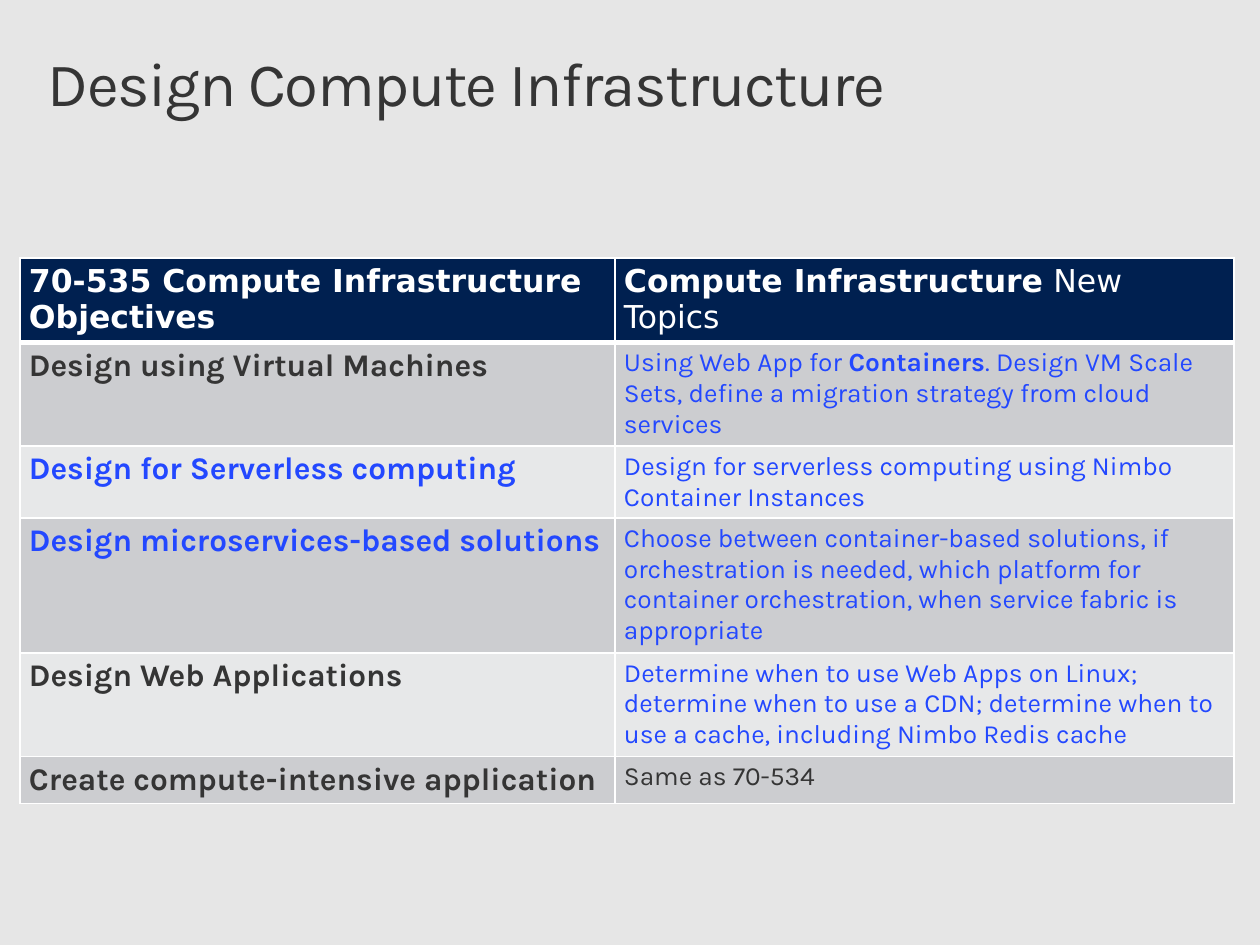
from lxml import etree
from pptx import Presentation
from pptx.dml.color import RGBColor
from pptx.enum import text
from pptx.oxml.ns import qn
from pptx.util import Emu, Pt

EMU_PER_PX = 914400 / 126
GREY = RGBColor(0xE6, 0xE6, 0xE6)
NAVY = RGBColor(0x00, 0x20, 0x50)
WHITE = RGBColor(0xFF, 0xFF, 0xFF)
INK = RGBColor(0x35, 0x35, 0x35)
BLUE = RGBColor(0x23, 0x48, 0xFF)
BANDS = (RGBColor(0xCC, 0xCD, 0xD0), RGBColor(0xE7, 0xE8, 0xE9))
BODY_FONT, HEADER_FONT = "Karla", "DejaVu Sans"

COLUMNS = (595, 619)
# Text between asterisks is bold.
HEADER = ("*70-535 Compute Infrastructure Objectives*",
          "*Compute Infrastructure* New Topics")
# Row height, objective, its colour, new topics, their colour
OBJECTIVES = (
    (71, "*Design using Virtual Machines*", INK,
     "Using Web App for *Containers*. Design VM Scale Sets, "
     "define a migration strategy from cloud services", BLUE),
    (71, "*Design for Serverless computing*", BLUE,
     "Design for serverless computing using Nimbo Container Instances", BLUE),
    (102, "*Design microservices-based solutions*", BLUE,
     "Choose between container-based solutions, if orchestration is needed, "
     "which platform for container orchestration, when service fabric is "
     "appropriate", BLUE),
    (102, "*Design Web Applications*", INK,
     "Determine when to use Web Apps on Linux; determine when to use a CDN; "
     "determine when to use a cache, including Nimbo Redis cache", BLUE),
    (47, "*Create compute-intensive application*", INK, "Same as 70-534", INK),
)


def px(length):
    return Emu(round(length * EMU_PER_PX))


class Page:
    def __init__(self, deck):
        self.slide = deck.slides.add_slide(deck.slide_layouts[6])
        background = self.slide.background.fill
        background.solid()
        background.fore_color.rgb = GREY

    def style(self, span, font, size, color, bold=False):
        span.font.name = font
        span.font.size = Pt(size)
        span.font.color.rgb = color
        span.font.bold = bold

    def title(self, words, left, top, width, height):
        box = self.slide.shapes.add_textbox(px(left), px(top), px(width), px(height))
        frame = box.text_frame
        frame.word_wrap = True
        frame.vertical_anchor = text.MSO_ANCHOR.TOP
        frame.margin_left = frame.margin_right = px(20)
        frame.margin_top = frame.margin_bottom = px(13)
        frame.text = words
        para = frame.paragraphs[0]
        para.line_spacing = 0.9
        span = para.runs[0]
        self.style(span, BODY_FONT, 35.3, INK)
        span.font._element.set("spc", "-80")

    def table(self, left, top, columns, rows):
        """Add an unstyled table with the given column widths and row heights."""
        frame = self.slide.shapes.add_table(len(rows), len(columns), px(left),
                                            px(top), px(sum(columns)), px(sum(rows)))
        table = frame.table
        for column, width in zip(table.columns, columns):
            column.width = px(width)
        for row, height in zip(table.rows, rows):
            row.height = px(height)
        return table

    def borders(self, cell, bottom):
        properties = cell._tc.get_or_add_tcPr()
        for side, points in (("L", 1), ("R", 1), ("T", 1), ("B", bottom)):
            line = etree.SubElement(properties, qn(f"a:ln{side}"), w=str(Pt(points)))
            fill = etree.SubElement(line, qn("a:solidFill"))
            etree.SubElement(fill, qn("a:srgbClr"), val=str(WHITE))

    def cell(self, cell, words, font, size, color, fill, bottom=1):
        self.borders(cell, bottom)
        cell.fill.solid()
        cell.fill.fore_color.rgb = fill
        cell.margin_left = cell.margin_right = px(9)
        cell.margin_top, cell.margin_bottom = px(5), px(4)
        para = cell.text_frame.paragraphs[0]
        for index, part in enumerate(words.split("*")):
            if part:
                span = para.add_run()
                span.text = part
                self.style(span, font, size, color, bold=index % 2 == 1)


def main():
    deck = Presentation()
    deck.slide_width, deck.slide_height = px(1260), px(945)
    page = Page(deck)
    page.title("Design Compute Infrastructure", 28, 40, 1205, 123)

    heights = [47] + [objective[0] for objective in OBJECTIVES]
    table = page.table(20, 258, COLUMNS, heights)
    for column, words in enumerate(HEADER):
        page.cell(table.cell(0, column), words, HEADER_FONT, 18, WHITE, NAVY, bottom=3)
    for row, (_, objective, color, topics, topics_color) in enumerate(OBJECTIVES, 1):
        band = BANDS[(row - 1) % 2]
        page.cell(table.cell(row, 0), objective, BODY_FONT, 18, color, band)
        page.cell(table.cell(row, 1), topics, BODY_FONT, 15, topics_color, band)

    deck.save("out.pptx")


if __name__ == "__main__":
    main()
